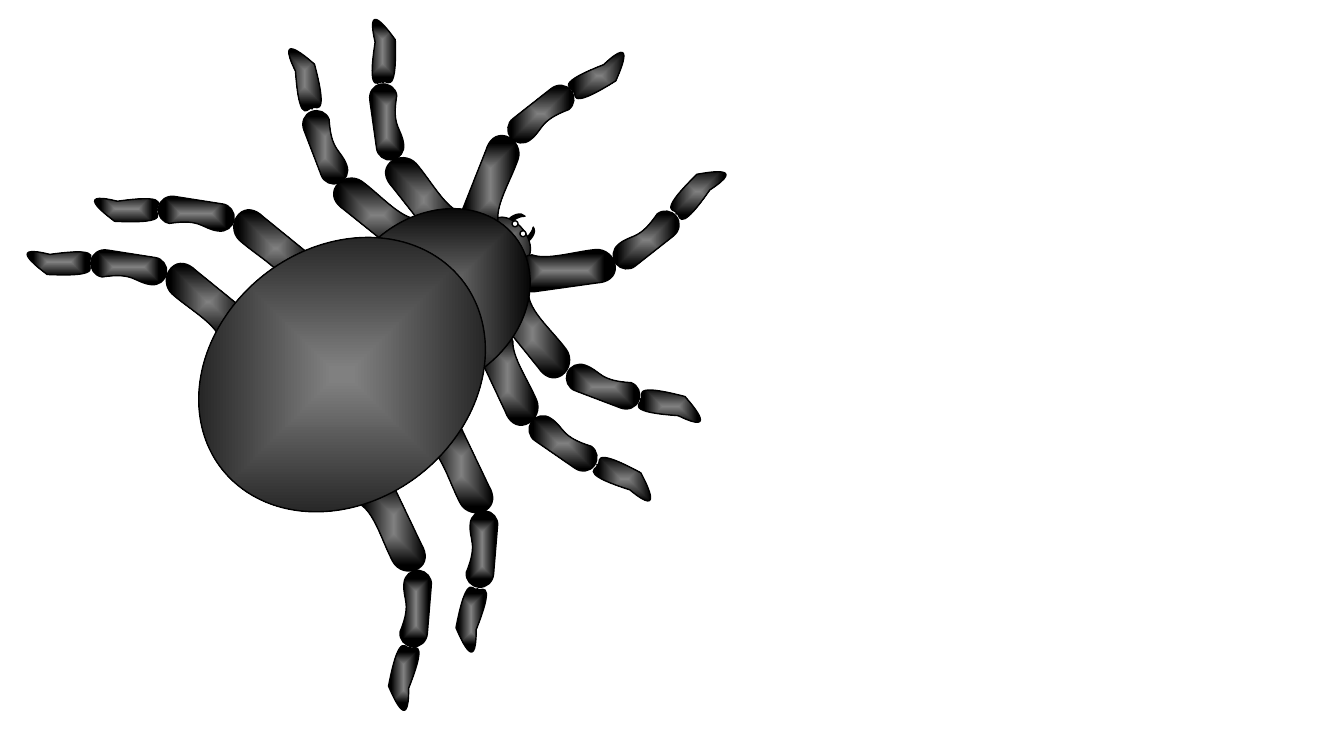
from lxml import etree
from pptx import Presentation
from pptx.dml.color import RGBColor
from pptx.enum.shapes import MSO_SHAPE
from pptx.oxml.ns import qn
from pptx.util import Cm, Pt

BLACK = RGBColor(0, 0, 0)
GRAY = RGBColor(0x80, 0x80, 0x80)
WHITE = RGBColor(255, 255, 255)

TILT = 51.8   # direction the spider faces, in degrees
BEND = 33.8   # angle between thigh and shin
LEG_SHADE = (0, 0.76)
UNITS = 1000  # outline units per cm

# Outlines in cm around their centre: size, start point, then cubic curves
THIGH = ((0.94, 2.54), (-0.37, -0.78), [
    [(-0.38, -1.04), (-0.26, -1.26), (0, -1.27)],
    [(0.27, -1.27), (0.47, -1.05), (0.47, -0.81)],
    [(0.46, -0.27), (0.29, 0.43), (0.46, 0.8)],
    [(0.46, 1.06), (0.26, 1.26), (0, 1.27)],
    [(-0.25, 1.27), (-0.47, 1.05), (-0.47, 0.81)],
])
SHIN = ((0.69, 1.93), (-0.34, -0.6), [
    [(-0.34, -0.8), (-0.19, -0.96), (0, -0.96)],
    [(0.2, -0.96), (0.35, -0.81), (0.35, -0.62)],
    [(0.1, 0.16), (0.36, 0.2), (0.35, 0.62)],
    [(0.35, 0.81), (0.2, 0.97), (0, 0.97)],
    [(-0.18, 0.97), (-0.35, 0.81), (-0.34, 0.62)],
])
FOOT = ((0.69, 1.63), (-0.15, -0.26), [
    [(-0.26, -1.48), (0.29, -0.37), (0.36, -0.25)],
    [(0.19, 1.33), (-0.03, 0.61), (-0.1, 0.78)],
    [(-0.1, 0.62), (-0.6, 1.22), (-0.15, -0.26)],
])

# Thigh angle, mirroring in x and y, then centres of thigh, shin and foot in cm
LEGS = [
    (18, 1, 1, (12.36, 4.64), (13.63, 2.87), (15.1, 1.91)),
    (85.6, -1, 1, (14.24, 6.82), (16.29, 6.05), (17.59, 4.83)),
    (144.6, -1, 1, (13.42, 8.42), (15.2, 9.75), (16.9, 10.24)),
    (318.2, 1, 1, (10.68, 5.04), (9.74, 3.07), (9.64, 1.3)),
    (305.2, 1, 1, (9.51, 5.42), (8.19, 3.71), (7.68, 1.98)),
    (158.4, -1, 1, (12.79, 9.51), (14.19, 11.18), (15.74, 12.07)),
    (330.9, -1, -1, (9.92, 13.22), (10.48, 15.34), (10.17, 17.07)),
    (132.7, 1, -1, (5.25, 7.61), (3.24, 6.73), (1.49, 6.6)),
    (132.7, 1, -1, (6.95, 6.26), (4.94, 5.38), (3.19, 5.26)),
    (330.9, -1, -1, (11.62, 11.75), (12.15, 13.84), (11.87, 15.6)),
]

# Preset, centre and size in cm, rotation, fill (a colour or two gradient stops)
OVAL, MOON = MSO_SHAPE.OVAL, MSO_SHAPE.MOON
HEAD = [
    (MOON, (12.93, 5.56), (0.2, 0.61), TILT, BLACK),
    (MOON, (13.26, 5.99), (0.2, 0.61), TILT + 180, BLACK),
    (OVAL, (12.83, 6.06), (1.32, 0.89), TILT, (0, 1)),
]
BODY_AND_EYES = [
    (OVAL, (10.95, 7.56), (4.22, 5.16), TILT, LEG_SHADE),
    (OVAL, (8.62, 9.44), (6.38, 7.7), TILT, (0.03, 1)),
    (OVAL, (12.98, 5.64), (0.15, 0.15), TILT, WHITE),
    (OVAL, (13.18, 5.89), (0.15, 0.15), TILT, WHITE),
]


def shade_from_centre(sp, stops):
    """Fill with a gradient from gray in the middle to black at the edge."""
    sp.fill.gradient()
    for stop, position, color in zip(sp.fill.gradient_stops, stops, (GRAY, BLACK)):
        stop.position = position
        stop.color.rgb = color
    grad = sp._element.spPr.find(qn("a:gradFill"))
    lin = grad.find(qn("a:lin"))
    path = etree.Element(qn("a:path"), path="shape")
    etree.SubElement(path, qn("a:fillToRect"), l="50000", t="50000", r="50000", b="50000")
    grad.replace(lin, path)


def finish(sp, rotation, fill):
    sp.rotation = rotation % 360
    sp.shadow.inherit = False
    sp.line.color.rgb = BLACK
    sp.line.width = Pt(1)
    if isinstance(fill, RGBColor):
        sp.fill.solid()
        sp.fill.fore_color.rgb = fill
    else:
        shade_from_centre(sp, fill)


def place(sp, centre, size):
    (cx, cy), (w, h) = centre, size
    sp.left, sp.top = Cm(cx - w / 2), Cm(cy - h / 2)
    sp.width, sp.height = Cm(w), Cm(h)


def add_presets(shapes, parts):
    for preset, centre, size, rotation, fill in parts:
        sp = shapes.add_shape(preset, 0, 0, Cm(1), Cm(1))
        place(sp, centre, size)
        finish(sp, rotation, fill)


def add_segment(shapes, outline, centre, flip_x, flip_y, rotation):
    (w, h), start, curves = outline

    def local(point):
        x, y = point
        return round(UNITS * (w / 2 + flip_x * x)), round(UNITS * (h / 2 + flip_y * y))

    builder = shapes.build_freeform(*local(start), scale=Cm(1) / UNITS)
    builder.add_line_segments([local(curve[-1]) for curve in curves], close=True)
    sp = builder.convert_to_shape()
    place(sp, centre, (w, h))
    round_off(sp, (w, h), local(start), [[local(p) for p in c] for c in curves])
    finish(sp, rotation, LEG_SHADE)


def round_off(sp, size, start, curves):
    """Turn the straight sides of a freeform into cubic curves."""
    outline = next(sp._element.spPr.iter(qn("a:path")))
    for name, length in zip("wh", size):
        outline.set(name, str(round(UNITS * length)))
    close = outline.find(qn("a:close"))
    for child in list(outline):
        if child is not close:
            outline.remove(child)
    for tag, points in [("a:moveTo", [start])] + [("a:cubicBezTo", c) for c in curves]:
        command = etree.Element(qn(tag))
        for x, y in points:
            etree.SubElement(command, qn("a:pt"), x=str(x), y=str(y))
        close.addprevious(command)


def main():
    prs = Presentation()
    prs.slide_width, prs.slide_height = Cm(33.87), Cm(19.05)
    slide = prs.slides.add_slide(prs.slide_layouts[6])
    spider = slide.shapes.add_group_shape().shapes

    add_presets(spider, HEAD)
    for angle, flip_x, flip_y, thigh, shin, foot in LEGS:
        bent = angle + BEND * flip_x * flip_y
        for outline, centre, rotation in (
                (THIGH, thigh, angle), (SHIN, shin, bent), (FOOT, foot, bent)):
            add_segment(spider, outline, centre, flip_x, flip_y, rotation)
    add_presets(spider, BODY_AND_EYES)
    prs.save("out.pptx")


if __name__ == "__main__":
    main()
